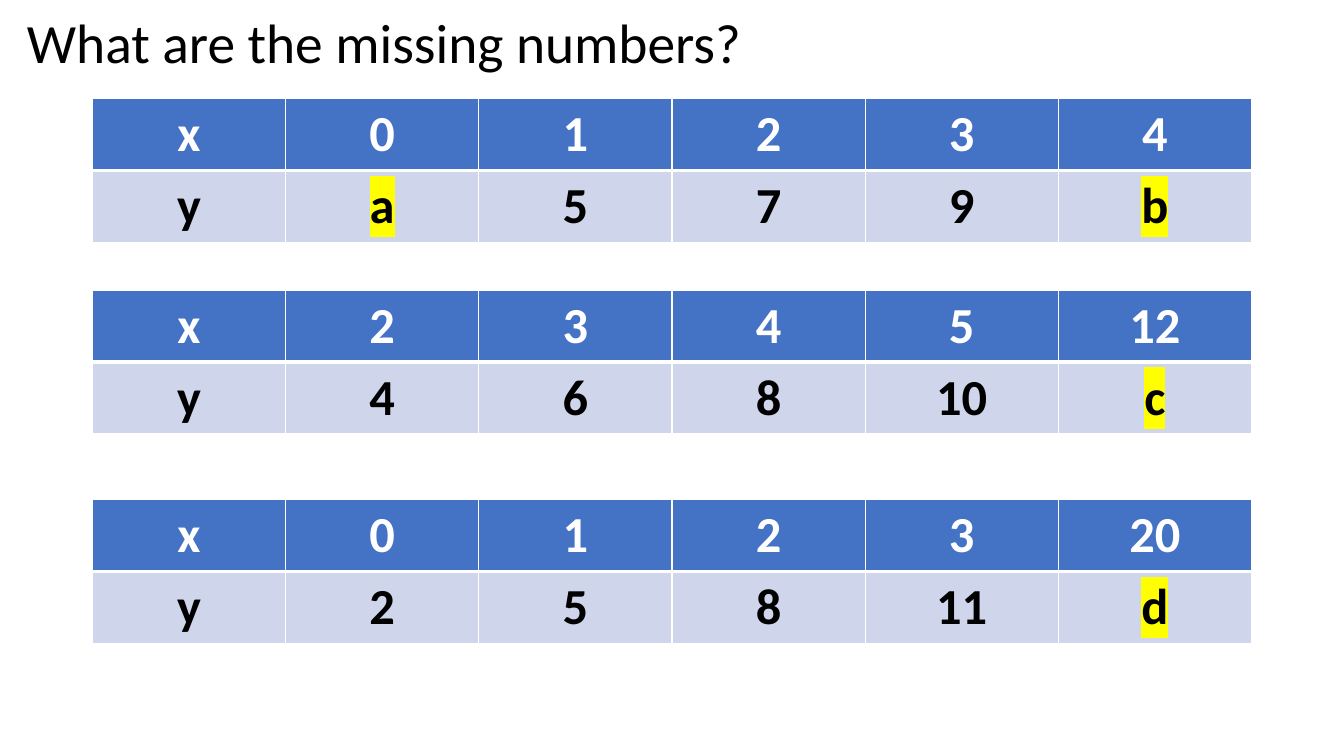
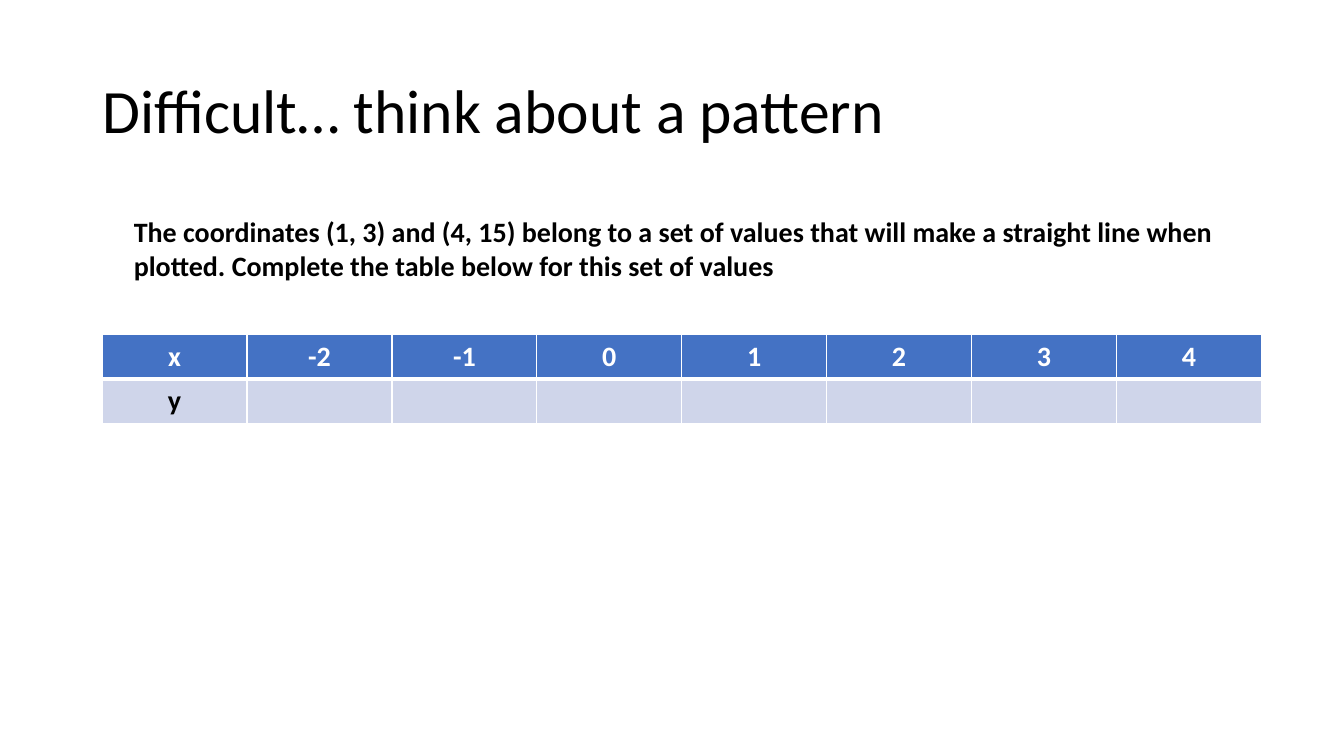
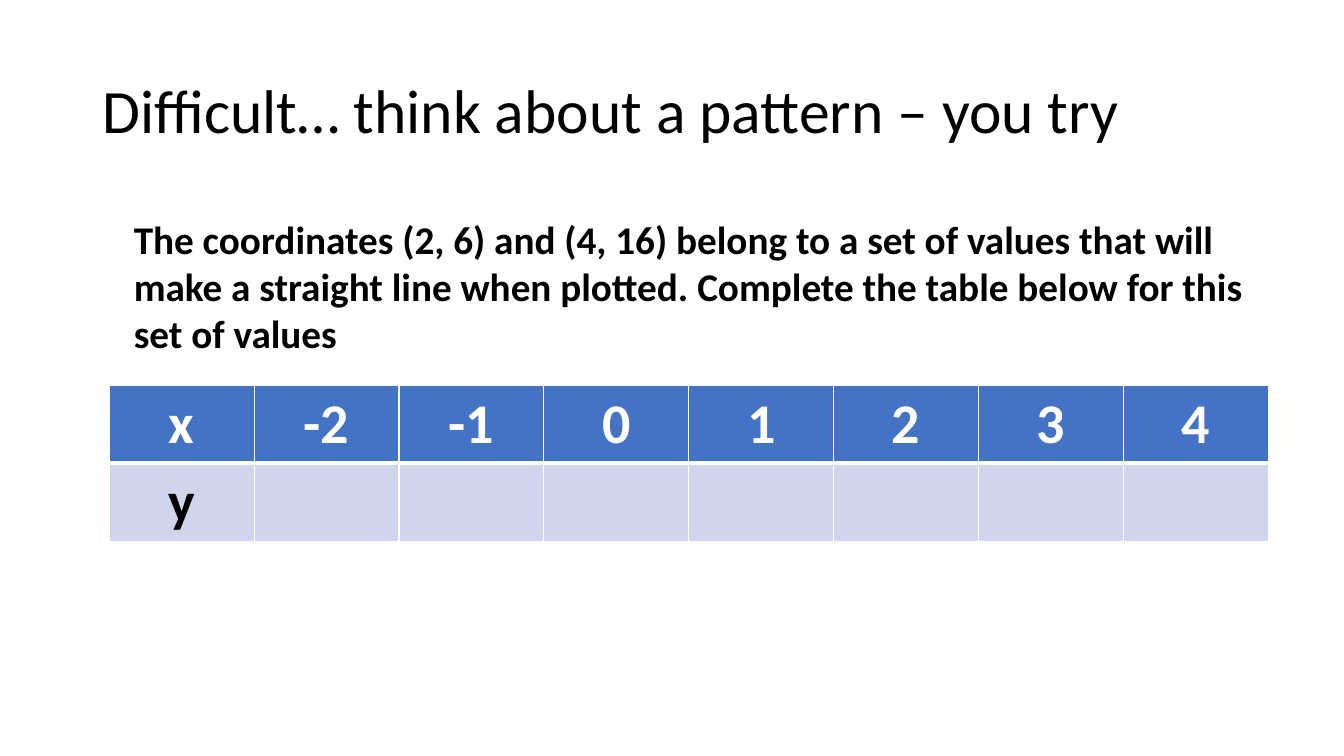
from lxml import etree
from pptx import Presentation
from pptx.dml.color import RGBColor
from pptx.enum import text as t
from pptx.oxml.ns import qn
from pptx.util import Pt

FONT = "Calibri"
BLACK = RGBColor(0x00, 0x00, 0x00)
WHITE = RGBColor(0xFF, 0xFF, 0xFF)
HEADER_BLUE = RGBColor(0x44, 0x72, 0xC4)
BODY_BLUE = RGBColor(0xCF, 0xD5, 0xEA)
YELLOW = RGBColor(0xFF, 0xFF, 0x00)

TABLE_WIDTH = 828
THIN, THICK = 1, 3
TITLE_BOX = (66, 29, 828, 104.4)


def add_color(parent, tag, color):
    holder = etree.SubElement(parent, qn(tag))
    etree.SubElement(holder, qn("a:srgbClr"), val=str(color))


def write(frame, text, size, color=BLACK, bold=False, align=t.PP_ALIGN.LEFT,
          highlight=None, spacing=None):
    paragraph = frame.paragraphs[0]
    paragraph.alignment = align
    if spacing:
        paragraph.line_spacing = spacing
    run = paragraph.add_run()
    run.text = text
    font = run.font
    font.size, font.bold = Pt(size), bold
    font.color.rgb = color
    if highlight is not None:
        add_color(font._element, "a:highlight", highlight)
    font.name = FONT


def add_title(slide, text, box, size):
    title = slide.shapes.title
    title.left, title.top, title.width, title.height = map(Pt, box)
    frame = title.text_frame
    frame.word_wrap = True
    frame.auto_size = t.MSO_AUTO_SIZE.NONE
    frame.vertical_anchor = t.MSO_ANCHOR.MIDDLE
    write(frame, text, size, spacing=0.9)


def add_question(slide, text, box, size):
    frame = slide.shapes.add_textbox(*map(Pt, box)).text_frame
    frame.word_wrap = True
    frame.auto_size = t.MSO_AUTO_SIZE.SHAPE_TO_FIT_TEXT
    write(frame, text, size, bold=True)


def set_borders(cell, top, bottom):
    properties = cell._tc.get_or_add_tcPr()
    sides = (("L", THIN), ("R", THIN), ("T", top), ("B", bottom))
    for side, width in sides:
        line = etree.SubElement(properties, qn(f"a:ln{side}"), w=str(Pt(width)))
        add_color(line, "a:solidFill", WHITE)


def add_xy_table(slide, xs, ys, left, top, height, size):
    """A header row of x values over a row of y values; letters are unknowns."""
    rows = (["x", *xs], ["y", *ys])
    table = slide.shapes.add_table(
        2, len(rows[0]), Pt(left), Pt(top), Pt(TABLE_WIDTH), Pt(height)).table
    styles = ((HEADER_BLUE, WHITE, THIN, THICK), (BODY_BLUE, BLACK, THICK, THIN))
    for r, (values, style) in enumerate(zip(rows, styles)):
        fill, color, line_above, line_below = style
        for c, value in enumerate(values):
            cell = table.cell(r, c)
            set_borders(cell, line_above, line_below)
            cell.fill.solid()
            cell.fill.fore_color.rgb = fill
            if value:
                unknown = c > 0 and value.isalpha()
                write(cell.text_frame, value, size, color, bold=True,
                      align=t.PP_ALIGN.CENTER,
                      highlight=YELLOW if unknown else None)


def missing_numbers_slide(slide):
    add_title(slide, "What are the missing numbers?", (12, 6, 828, 53), 39.6)
    sequences = (
        (70.5, "0 1 2 3 4", "a 5 7 9 b"),
        (207.5, "2 3 4 5 12", "4 6 8 10 c"),
        (357, "0 1 2 3 20", "2 5 8 11 d"),
    )
    for top, xs, ys in sequences:
        add_xy_table(slide, xs.split(), ys.split(), 66, top, 100.8, 36)


def pattern_slide(slide, title, points, question_size, question_height,
                  table_box, table_size):
    add_title(slide, title, TITLE_BOX, 44)
    xs = [str(x) for x in range(-2, 5)]
    add_xy_table(slide, xs, [""] * len(xs), *table_box, table_size)
    add_question(
        slide,
        f"The coordinates {points} belong to a set of values that will make a "
        "straight line when plotted. Complete the table below for this set of "
        "values",
        (88.5, 150, 817, question_height), question_size)


def main():
    deck = Presentation()
    deck.slide_width, deck.slide_height = Pt(960), Pt(540)
    title_only = deck.slide_layouts[5]

    missing_numbers_slide(deck.slides.add_slide(title_only))
    pattern_slide(deck.slides.add_slide(title_only),
                  "Difficult… think about a pattern", "(1, 3) and (4, 15)",
                  20, 55.5, (73, 239, 62.5), 20)
    pattern_slide(deck.slides.add_slide(title_only),
                  "Difficult… think about a pattern – you try",
                  "(2, 6) and (4, 16)", 28, 109, (78, 275, 110.5), 40)
    deck.save("out.pptx")


if __name__ == "__main__":
    main()
